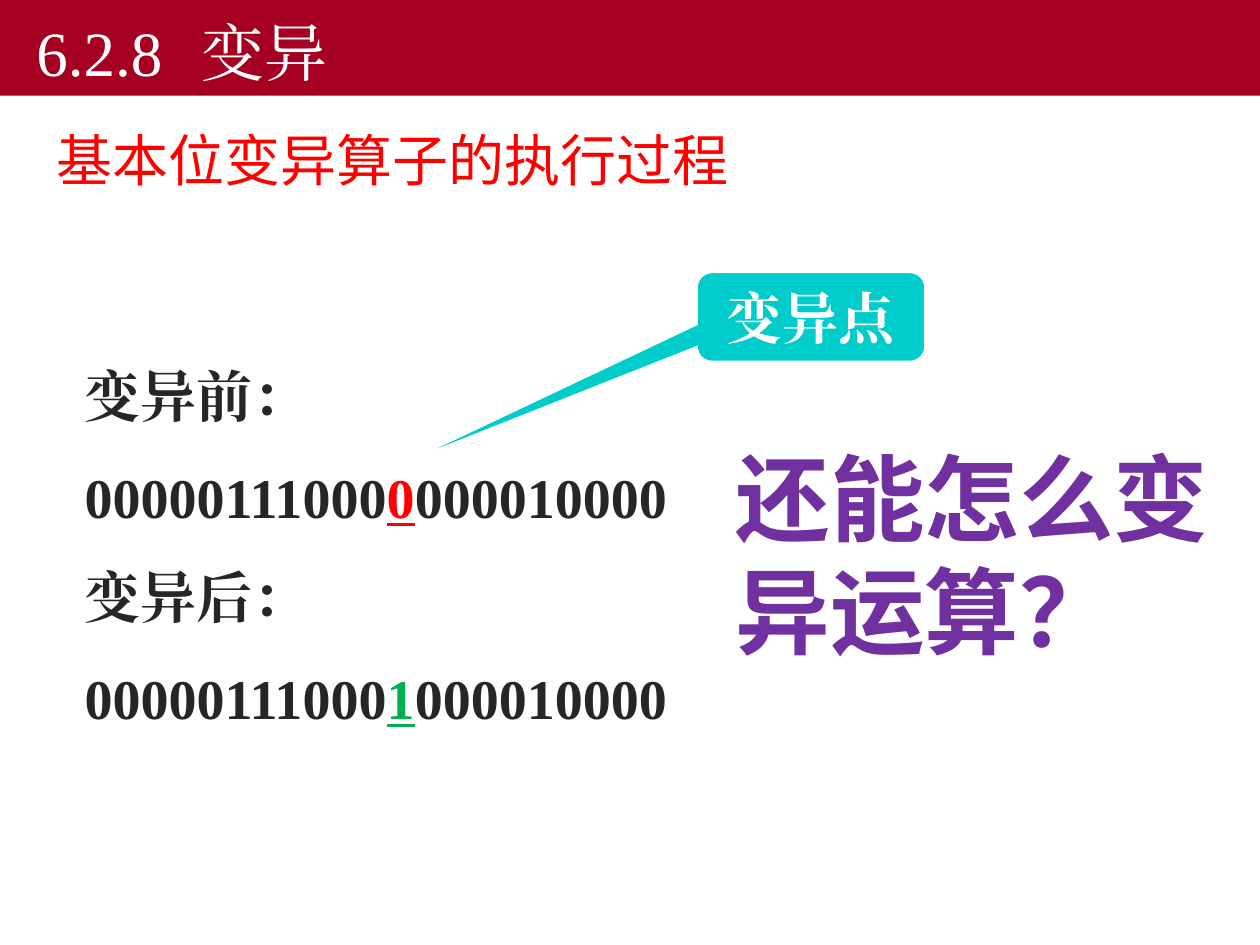
from dataclasses import dataclass

from lxml import etree
from pptx import Presentation
from pptx import util as u
from pptx.dml.color import RGBColor
from pptx.enum import shapes, text
from pptx.oxml import ns

CRIMSON = RGBColor(0xA5, 0x00, 0x21)
RED = RGBColor(0xFF, 0x00, 0x00)
GREEN = RGBColor(0x00, 0xB0, 0x50)
PURPLE = RGBColor(0x70, 0x30, 0xA0)
TEAL = RGBColor(0x00, 0xCC, 0xCC)
DARK = RGBColor(0x26, 0x26, 0x26)
WHITE = RGBColor(0xFF, 0xFF, 0xFF)
SERIF = "Times New Roman"
SANS = "Noto Sans CJK SC"


@dataclass
class Box:
    left: float
    top: float
    width: float
    height: float

    def lengths(self) -> list:
        return [u.Cm(n) for n in (self.left, self.top, self.width, self.height)]


@dataclass
class Style:
    size: int
    color: RGBColor
    name: str = SERIF
    bold: bool = False


@dataclass
class Chromosome:
    label: str
    gene: str
    gene_color: RGBColor


def format_run(run, style: Style) -> None:
    font = run.font
    font.size, font.bold, font.name = u.Pt(style.size), style.bold, style.name
    font.color.rgb = style.color
    east_asian = etree.SubElement(run._r.get_or_add_rPr(), ns.qn("a:ea"))
    east_asian.set("typeface", style.name)


def place(shape, box: Box) -> None:
    shape.left, shape.top, shape.width, shape.height = box.lengths()


def set_indent(paragraph, margin: float, first_line: float):
    properties = paragraph._p.get_or_add_pPr()
    properties.set("marL", str(u.Cm(margin)))
    properties.set("indent", str(u.Cm(first_line)))
    return properties


def add_text(slide, box: Box, content: str, style: Style) -> None:
    frame = slide.shapes.add_textbox(*box.lengths()).text_frame
    frame.word_wrap = True
    frame.text = content
    format_run(frame.paragraphs[0].runs[0], style)


def fill_title(title) -> None:
    place(title, Box(0, 0, 25.4, 1.93))
    title.fill.solid()
    title.fill.fore_color.rgb = CRIMSON
    frame = title.text_frame
    frame.text = "6.2.8\t变异"
    frame.vertical_anchor = text.MSO_ANCHOR.BOTTOM
    frame.auto_size = text.MSO_AUTO_SIZE.NONE
    paragraph = frame.paragraphs[0]
    paragraph.alignment = text.PP_ALIGN.LEFT
    properties = set_indent(paragraph, 0, 0.48)
    tabs = etree.SubElement(properties, ns.qn("a:tabLst"))
    etree.SubElement(tabs, ns.qn("a:tab"), pos=str(u.Cm(3.96)), algn="l")
    for run in paragraph.runs:
        format_run(run, Style(36, WHITE))


def fill_body(body, chromosomes: list[Chromosome]) -> None:
    place(body, Box(1.45, 6.48, 18.8, 8.81))
    frame = body.text_frame
    frame.auto_size = text.MSO_AUTO_SIZE.NONE
    lines = []
    for item in chromosomes:
        lines.append([(item.label, None)])
        lines.append([("00000111000", None), (item.gene, item.gene_color),
                      ("000010000", None)])
    for index, line in enumerate(lines):
        paragraph = frame.paragraphs[0] if index == 0 else frame.add_paragraph()
        properties = set_indent(paragraph, 0.97, -0.97)
        etree.SubElement(properties, ns.qn("a:buNone"))
        paragraph.line_spacing = 1.5
        paragraph.space_before = u.Pt(0)
        for content, mutated_color in line:
            run = paragraph.add_run()
            run.text = content
            format_run(run, Style(32, mutated_color or DARK, bold=True))
            if mutated_color:
                run.font.underline = True


def add_callout(slide, box: Box, content: str) -> None:
    callout = slide.shapes.add_shape(
        shapes.MSO_SHAPE.ROUNDED_RECTANGULAR_CALLOUT, *box.lengths())
    callout.shadow.inherit = False
    for index, value in enumerate((-1.77, 1.62, 0.17)):
        callout.adjustments[index] = value
    callout.fill.solid()
    callout.fill.fore_color.rgb = TEAL
    callout.line.color.rgb = WHITE
    callout.line.width = u.Pt(1)
    frame = callout.text_frame
    frame.text = content
    frame.vertical_anchor = text.MSO_ANCHOR.MIDDLE
    frame.paragraphs[0].alignment = text.PP_ALIGN.CENTER
    format_run(frame.paragraphs[0].runs[0], Style(32, WHITE, bold=True))


def main() -> None:
    presentation = Presentation()
    presentation.slide_width, presentation.slide_height = u.Cm(25.4), u.Cm(19.05)
    slide = presentation.slides.add_slide(presentation.slide_layouts[1])

    # Title band and subtitle
    fill_title(slide.shapes.title)
    add_text(slide, Box(0.89, 2.41, 14.22, 1.63), "基本位变异算子的执行过程",
             Style(32, RED, SANS))

    # Bit strings before and after the mutation
    fill_body(slide.placeholders[1], [Chromosome("变异前：", "0", RED),
                                      Chromosome("变异后：", "1", GREEN)])

    # Mutation point and closing question
    add_callout(slide, Box(14.05, 5.49, 4.6, 1.8), "变异点")
    add_text(slide, Box(14.58, 8.74, 10.29, 4.88), "还能怎么变异运算？",
             Style(54, PURPLE, SANS, bold=True))

    presentation.save("out.pptx")


if __name__ == "__main__":
    main()
